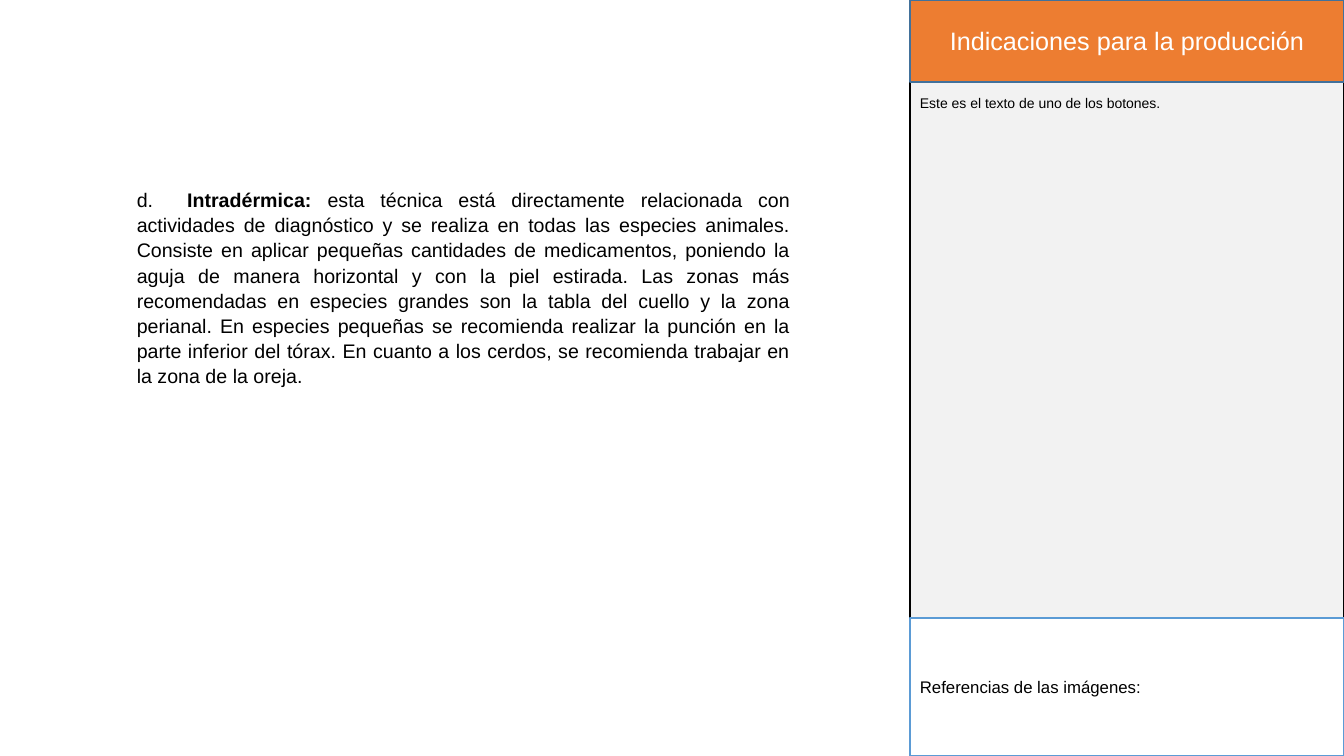
from pptx import Presentation
from pptx.dml.color import RGBColor
from pptx.enum.shapes import MSO_SHAPE
from pptx.enum.text import MSO_ANCHOR, MSO_AUTO_SIZE, PP_ALIGN
from pptx.util import Pt

BLACK = RGBColor(0x00, 0x00, 0x00)
WHITE = RGBColor(0xFF, 0xFF, 0xFF)
GREY = RGBColor(0xF2, 0xF2, 0xF2)
ORANGE = RGBColor(0xED, 0x7D, 0x31)
NAVY = RGBColor(0x42, 0x71, 0x9B)
BLUE = RGBColor(0x5B, 0x9B, 0xD5)

WIDE, HIGH = 960, 540
BODY = (
    "esta técnica está directamente relacionada con actividades de diagnóstico "
    "y se realiza en todas las especies animales. Consiste en aplicar pequeñas "
    "cantidades de medicamentos, poniendo la aguja de manera horizontal y con la "
    "piel estirada. Las zonas más recomendadas en especies grandes son la tabla "
    "del cuello y la zona perianal. En especies pequeñas se recomienda realizar "
    "la punción en la parte inferior del tórax. En cuanto a los cerdos, se "
    "recomienda trabajar en la zona de la oreja."
)


def write(shape, *runs, size=12, color=BLACK, align=PP_ALIGN.LEFT,
          anchor=MSO_ANCHOR.TOP, space=None):
    """Fill a shape with one paragraph of (text, bold) runs."""
    frame = shape.text_frame
    frame.word_wrap = True
    frame.vertical_anchor = anchor
    para = frame.paragraphs[0]
    para.alignment = align
    para.line_spacing = space
    for text, bold in runs:
        run = para.add_run()
        run.text = text
        font = run.font
        font.name, font.size, font.bold = "Arial", Pt(size), bold
        font.color.rgb = color


def panel(slide, box, fill, edge):
    shape = slide.shapes.add_shape(MSO_SHAPE.RECTANGLE, *map(Pt, box))
    shape.shadow.inherit = False
    shape.fill.solid()
    shape.fill.fore_color.rgb = fill
    shape.line.color.rgb = edge
    shape.line.width = Pt(1)
    return shape


def sidebar(slide, box):
    left, top, width, height = box
    head, foot = 58.5, 98.6
    # Backdrop and note
    panel(slide, box, GREY, BLACK)
    note = slide.shapes.add_textbox(*map(Pt, (left, top + 64, width, 342)))
    write(note, ("Este es el texto de uno de los botones.", False), size=10)
    # Heading
    title = panel(slide, (left, top, width, head), ORANGE, NAVY)
    write(title, ("Indicaciones para la producción", False), size=18,
          color=WHITE, align=PP_ALIGN.CENTER, anchor=MSO_ANCHOR.MIDDLE)
    # Image references
    refs = panel(slide, (left, top + height - foot, width, foot), WHITE, BLUE)
    write(refs, ("Referencias de las imágenes:", False),
          anchor=MSO_ANCHOR.MIDDLE)


def content(slide, box):
    area = slide.shapes.add_textbox(*map(Pt, box))
    write(area, ("d.\t", False), ("Intradérmica: ", True), (BODY, False),
          size=14, align=PP_ALIGN.JUSTIFY, space=1.07)
    area.text_frame.auto_size = MSO_AUTO_SIZE.SHAPE_TO_FIT_TEXT


deck = Presentation()
deck.slide_width, deck.slide_height = Pt(WIDE), Pt(HIGH)
page = deck.slides.add_slide(deck.slide_layouts[6])
sidebar(page, (650, 0, WIDE - 650, HIGH))
content(page, (90.6, 129.6, 481, 152.6))
deck.save("out.pptx")
